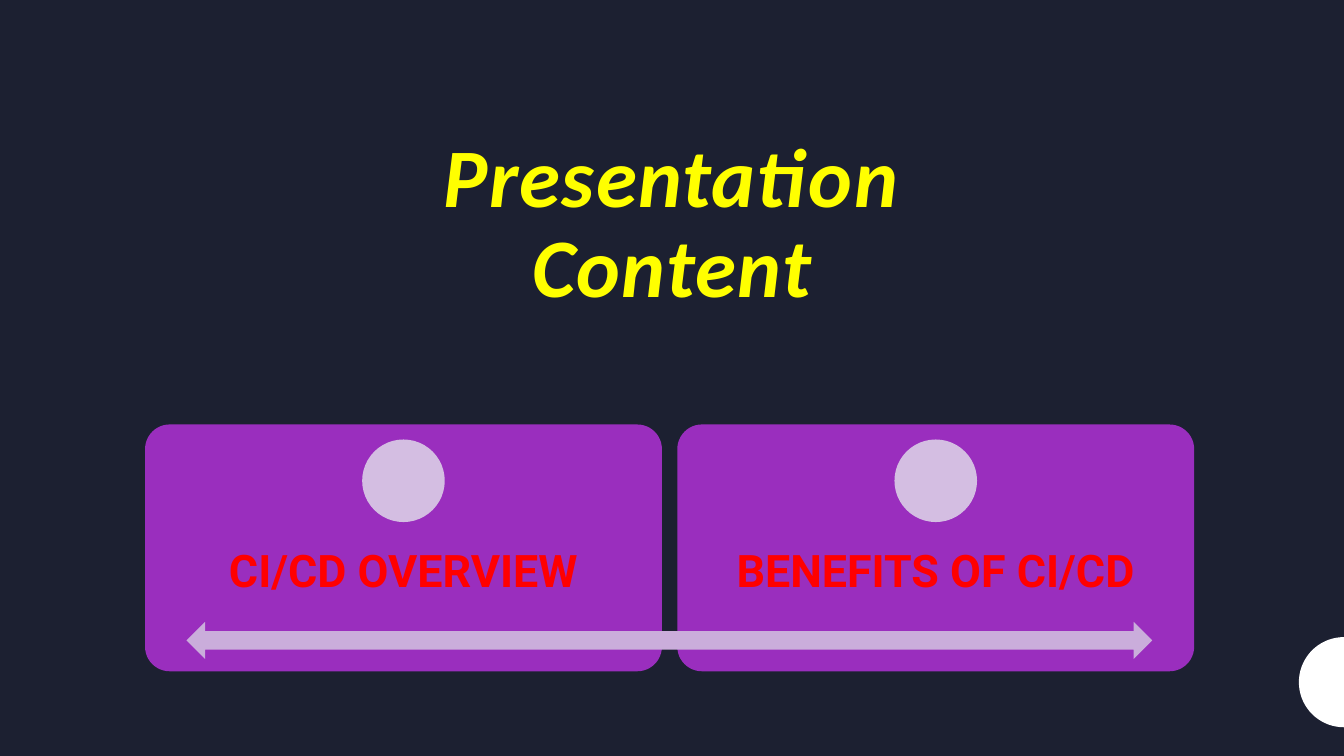
"""Build the agenda slide with two topic cards joined by a double arrow."""
import math

import pptx
import pptx.dml.color
import pptx.enum.shapes
import pptx.enum.text
import pptx.util

Pt = pptx.util.Pt
SHAPES = pptx.enum.shapes.MSO_SHAPE
ANCHORS = pptx.enum.text.MSO_ANCHOR

TITLE = "Presentation Content"
TOPICS = ["CI/CD OVERVIEW", "BENEFITS OF CI/CD"]

NAVY, WHITE, YELLOW, RED = "1C2031", "FFFFFF", "FFFF00", "FF0000"
PURPLE, LILAC, MAUVE = "9A2EBE", "D4BEE2", "CAADDB"

SLIDE_WIDTH, SLIDE_HEIGHT = 960, 540
TITLE_BOX = (205.9, 93.6, 547.9, 100.8)
CARD_LEFT, CARD_TOP, CARD_WIDTH, CARD_HEIGHT = 103.6, 303.2, 369.2, 176.3
CARD_GAP = 11
LABEL_TOP, LABEL_HEIGHT = 373.7, 70.6
DOT_TOP, DOT_SIZE = 313.9, 59
ARROW_BOX = (133.2, 444.2, 689.8, 26.6)
EDGE_CENTER_Y, EDGE_RADIUS, EDGE_STEPS = 487.3, 32.2, 36


def paint(fill, color):
    """Make a fill solid in a hex colour."""
    fill.solid()
    fill.fore_color.rgb = pptx.dml.color.RGBColor.from_string(color)


def finish(shape, color):
    """Give a shape a flat fill without line or shadow."""
    paint(shape.fill, color)
    shape.line.fill.background()
    shape.shadow.inherit = False
    return shape


def add_block(slide, kind, box, color):
    """Add a preset shape at a box given in points."""
    return finish(slide.shapes.add_shape(kind, *map(Pt, box)), color)


def write(shape, text, *, font, size, color, anchor, italic=False, spacing=0, inset=None):
    """Write one bold centred paragraph into a shape."""
    frame = shape.text_frame
    frame.word_wrap = True
    frame.auto_size = pptx.enum.text.MSO_AUTO_SIZE.NONE
    frame.vertical_anchor = anchor
    if inset is not None:
        frame.margin_left = frame.margin_right = Pt(inset)
        frame.margin_top = frame.margin_bottom = Pt(inset)
    paragraph = frame.paragraphs[0]
    paragraph.alignment = pptx.enum.text.PP_ALIGN.CENTER
    paragraph.line_spacing = 0.9
    paragraph.space_before = Pt(0)
    run = paragraph.add_run()
    run.text = text
    run.font.name = font
    run.font.size = Pt(size)
    run.font.bold = True
    run.font.italic = italic
    paint(run.font.fill, color)
    if spacing:
        run.font._element.set("spc", str(spacing * 100))


def add_edge_circle(slide):
    """Add the half circle that touches the right edge."""
    angles = [math.pi * (0.5 + step / EDGE_STEPS) for step in range(EDGE_STEPS + 1)]
    points = [
        (Pt(SLIDE_WIDTH + EDGE_RADIUS * math.cos(angle)),
         Pt(EDGE_CENTER_Y + EDGE_RADIUS * math.sin(angle)))
        for angle in angles
    ]
    builder = slide.shapes.build_freeform(*points[0])
    builder.add_line_segments(points[1:], close=True)
    finish(builder.convert_to_shape(), WHITE)


def add_card(slide, index, topic):
    """Add one topic card with its dot and label."""
    left = CARD_LEFT + index * (CARD_WIDTH + CARD_GAP)
    card = add_block(slide, SHAPES.ROUNDED_RECTANGLE,
                     (left, CARD_TOP, CARD_WIDTH, CARD_HEIGHT), PURPLE)
    card.adjustments[0] = 0.1
    label_box = (left, LABEL_TOP, CARD_WIDTH, LABEL_HEIGHT)
    label = slide.shapes.add_textbox(*map(Pt, label_box))
    write(label, topic, font="Roboto", size=32, color=RED,
          anchor=ANCHORS.MIDDLE, inset=18)
    dot_left = left + (CARD_WIDTH - DOT_SIZE) / 2
    add_block(slide, SHAPES.OVAL, (dot_left, DOT_TOP, DOT_SIZE, DOT_SIZE), LILAC)


def main():
    """Build and save the presentation."""
    presentation = pptx.Presentation()
    presentation.slide_width = Pt(SLIDE_WIDTH)
    presentation.slide_height = Pt(SLIDE_HEIGHT)
    slide = presentation.slides.add_slide(presentation.slide_layouts[5])
    paint(slide.background.fill, NAVY)

    title = slide.shapes.title
    title.left, title.top, title.width, title.height = map(Pt, TITLE_BOX)
    write(title, TITLE, font="Calibri", size=59.4, color=YELLOW,
          anchor=ANCHORS.TOP, italic=True, spacing=1)

    add_edge_circle(slide)
    for index, topic in enumerate(TOPICS):
        add_card(slide, index, topic)
    add_block(slide, SHAPES.LEFT_RIGHT_ARROW, ARROW_BOX, MAUVE)
    presentation.save("out.pptx")


if __name__ == "__main__":
    main()
